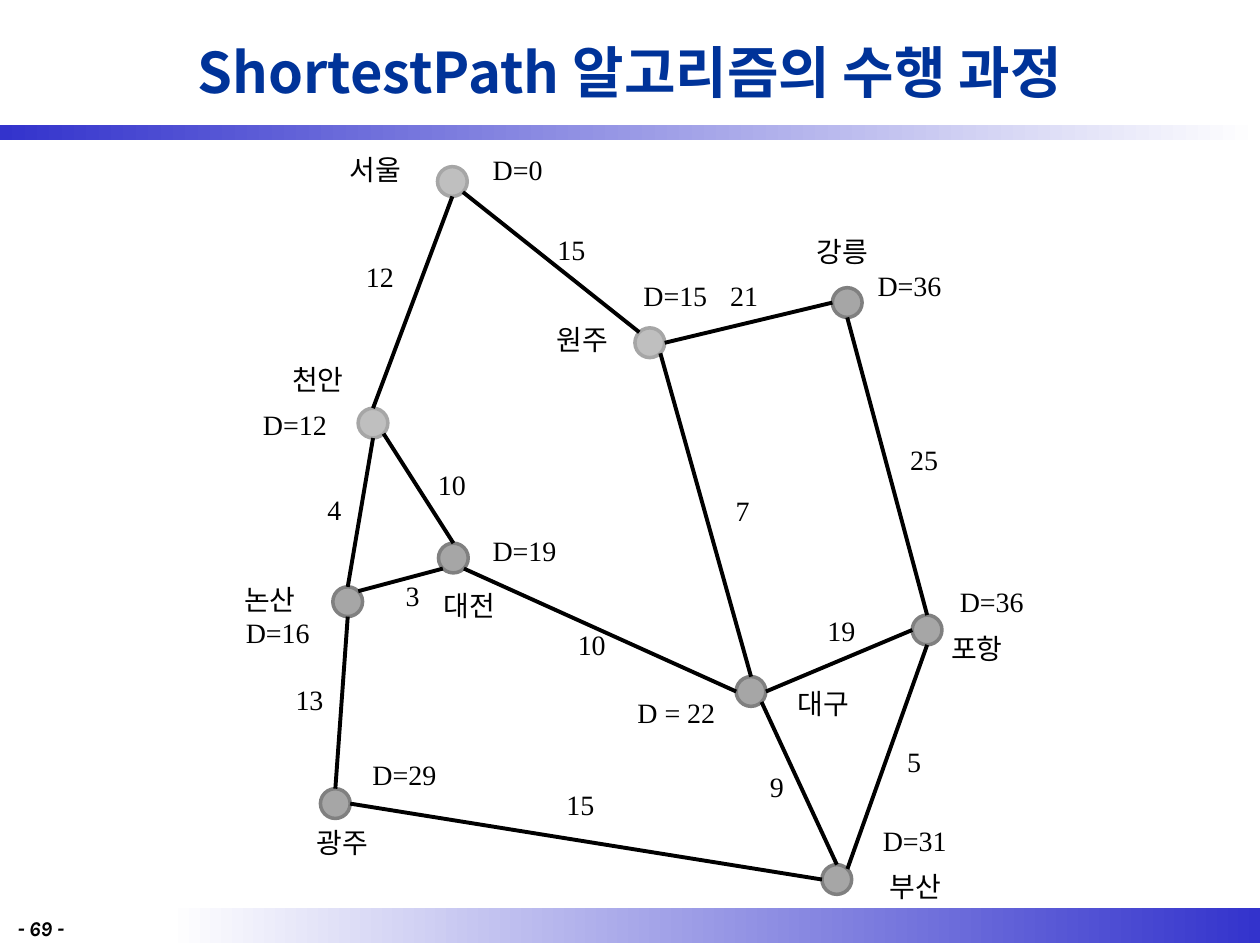
import math

import pptx
import pptx.dml.color
import pptx.enum.shapes
import pptx.enum.text
import pptx.oxml.ns
import pptx.util
from lxml import etree

Cm = pptx.util.Cm
Pt = pptx.util.Pt
MSO_SHAPE = pptx.enum.shapes.MSO_SHAPE
ALIGN = pptx.enum.text.PP_ALIGN
qn = pptx.oxml.ns.qn

KOREAN_FONT = "Noto Sans CJK KR"
RADIUS = 0.3
WEIGHT_WIDTH = 1.5
LABEL_HEIGHT = 0.94

# city: (centre x, centre y, settled)
CITIES = {
    "서울": (9.12, 3.66, True),
    "천안": (7.52, 8.53, True),
    "원주": (13.1, 6.91, True),
    "강릉": (17.08, 6.1, False),
    "대전": (9.14, 11.25, False),
    "논산": (7.01, 12.13, False),
    "대구": (15.14, 13.94, False),
    "포항": (18.69, 12.7, False),
    "광주": (6.76, 16.2, False),
    "부산": (16.87, 17.73, False),
}

# (text, left, top, width)
CITY_LABELS = [
    ("서울", 6.57, 2.95, 2),
    ("천안", 5.41, 7.19, 2),
    ("원주", 10.74, 6.38, 2),
    ("강릉", 15.62, 4.6, 2.72),
    ("대전", 8.46, 11.73, 2),
    ("논산", 4.19, 11.61, 2.51),
    ("대구", 15.6, 13.72, 2),
    ("포항", 18.69, 12.6, 2),
    ("광주", 5.21, 16.51, 3.38),
    ("부산", 17.22, 17.4, 2.46),
]
CENTRED_DISTANCES = [
    ("D=0", 9.47, 2.95, 1.93),
    ("D=12", 4.98, 8.1, 1.93),
    ("D=15", 12.65, 5.49, 1.93),
    ("D=36", 17.04, 5.28, 2.59),
    ("D=16", 3.71, 12.29, 3.78),
    ("D=31", 16.99, 16.48, 2.9),
]
LEFT_DISTANCES = [
    ("D=19", 9.68, 10.64, 2),
    ("D=29", 7.26, 15.14, 2.57),
    ("D = 22", 12.6, 13.89, 3.63),
    ("D=36", 19.1, 11.66, 3.99),
]

# (city, side, city, side, weight, weight left, weight top)
ROADS = [
    ("서울", "S", "천안", "N", 12, 6.91, 5.11),
    ("서울", "SE", "원주", "NW", 15, 10.77, 4.57),
    ("원주", "E", "강릉", "W", 21, 14.25, 5.49),
    ("원주", "SE", "대구", "N", 7, 14.22, 9.83),
    ("강릉", "S", "포항", "N", 25, 17.88, 8.79),
    ("천안", "SE", "대전", "N", 10, 8.36, 9.3),
    ("천안", "S", "논산", "N", 4, 5.99, 9.8),
    ("논산", "NE", "대전", "SW", 3, 7.57, 11.53),
    ("대전", "SE", "대구", "W", 10, 11.18, 12.52),
    ("대구", "E", "포항", "W", 19, 16.21, 12.24),
    ("논산", "S", "광주", "N", 13, 5.49, 13.64),
    ("광주", "E", "부산", "W", 15, 10.95, 15.75),
    ("대구", "SE", "부산", "N", 9, 14.91, 15.39),
    ("포항", "S", "부산", "NE", 5, 17.68, 14.88),
]
ANGLES = {side: 45 * i for i, side in
          enumerate(["E", "SE", "S", "SW", "W", "NW", "N", "NE"])}


def rgb(value):
    return pptx.dml.color.RGBColor.from_string(value)


def write_text(tf, text, size=16, font="Times New Roman", color="000000",
               bold=False, italic=False, align=ALIGN.CENTER):
    p = tf.paragraphs[0]
    p.alignment = align
    r = p.add_run()
    r.text = text
    r.font.size = Pt(size)
    r.font.name = font
    r.font.bold = bold
    r.font.italic = italic
    r.font.color.rgb = rgb(color)
    ea = etree.SubElement(r.font._element, qn("a:ea"))
    ea.set("typeface", KOREAN_FONT)


def add_label(s, text, left, top, width, height=LABEL_HEIGHT, **fmt):
    sp = s.shapes.add_textbox(Cm(left), Cm(top), Cm(width), Cm(height))
    sp.text_frame.word_wrap = True
    write_text(sp.text_frame, text, **fmt)


def add_band(s, left, top, width, height, start, end):
    sp = s.shapes.add_shape(MSO_SHAPE.RECTANGLE, Cm(left), Cm(top), Cm(width), Cm(height))
    sp.shadow.inherit = False
    sp.line.fill.background()
    sp.fill.gradient()
    sp.fill.gradient_angle = 0
    for stop, color in zip(sp.fill.gradient_stops, (start, end)):
        stop.color.rgb = rgb(color)


def add_title(s, text):
    sp = s.shapes.title
    sp.left, sp.top, sp.width, sp.height = Cm(1.9), Cm(0.13), Cm(21.6), Cm(2.62)
    tf = sp.text_frame
    tf.auto_size = pptx.enum.text.MSO_AUTO_SIZE.NONE
    tf.vertical_anchor = pptx.enum.text.MSO_ANCHOR.MIDDLE
    write_text(tf, text, size=32, font=KOREAN_FONT, color="003399", bold=True)


def add_city(s, x, y, settled):
    sp = s.shapes.add_shape(MSO_SHAPE.OVAL, Cm(x - RADIUS), Cm(y - RADIUS),
                            Cm(2 * RADIUS), Cm(2 * RADIUS))
    sp.shadow.inherit = False
    sp.fill.solid()
    sp.fill.fore_color.rgb = rgb("BFBFBF" if settled else "A6A6A6")
    sp.line.color.rgb = rgb("A6A6A6" if settled else "808080")
    sp.line.width = Pt(2)


def rim_point(city, side):
    """Point on a city's circle at a compass side."""
    x, y, _ = CITIES[city]
    angle = math.radians(ANGLES[side])
    return Cm(x + RADIUS * math.cos(angle)), Cm(y + RADIUS * math.sin(angle))


def add_road(s, start, end):
    line = s.shapes.add_connector(pptx.enum.shapes.MSO_CONNECTOR.STRAIGHT, *start, *end)
    line.line.color.rgb = rgb("000000")
    line.line.width = Pt(2.25)
    etree.SubElement(line._element.spPr, qn("a:effectLst"))


def main():
    prs = pptx.Presentation()
    prs.slide_width, prs.slide_height = Cm(25.4), Cm(19.05)
    s = prs.slides.add_slide(prs.slide_layouts[5])

    add_band(s, 3.38, 18.31, 22.02, 0.71, "FFFFFF", "3333CC")
    add_band(s, 0, 2.52, 25.4, 0.3, "3333CC", "FFFFFF")
    add_title(s, "ShortestPath 알고리즘의 수행 과정")
    add_label(s, "- 69 -", 0.1, 18.34, 1.8, 0.61, size=12, font="Karla",
              bold=True, italic=True, align=ALIGN.LEFT)

    for city in CITIES.values():
        add_city(s, *city)
    for a, a_side, b, b_side, weight, left, top in ROADS:
        add_road(s, rim_point(a, a_side), rim_point(b, b_side))
        add_label(s, str(weight), left, top, WEIGHT_WIDTH)
    for label in CITY_LABELS + CENTRED_DISTANCES:
        add_label(s, *label)
    for label in LEFT_DISTANCES:
        add_label(s, *label, align=ALIGN.LEFT)

    prs.save("out.pptx")


if __name__ == "__main__":
    main()
